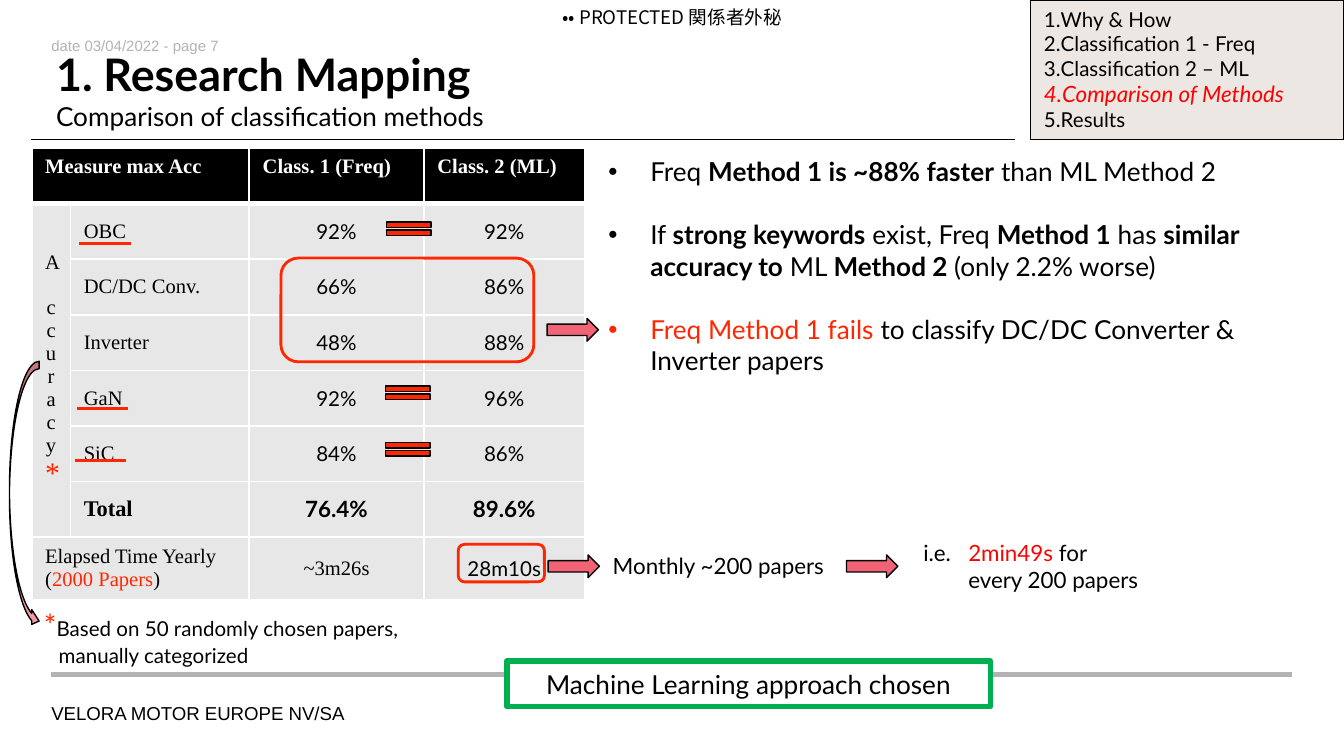
from copy import deepcopy
from dataclasses import dataclass

from lxml.etree import SubElement
from pptx import Presentation
from pptx.dml.color import RGBColor
from pptx.enum.shapes import MSO_CONNECTOR, MSO_SHAPE
from pptx.enum.text import MSO_ANCHOR, PP_ALIGN
from pptx.oxml import parse_xml
from pptx.oxml.ns import nsdecls, qn
from pptx.util import Cm, Pt

LATO, TIMES, CJK = "Lato", "Times New Roman", "Noto Sans CJK JP"
BLACK, WHITE, GREY, CELL_GREY = "000000", "FFFFFF", "B3B3B3", "E7E7E7"
ORANGE_RED, RED, PINK = "FF2600", "FF0000", "F06475"


@dataclass(frozen=True)
class Span:
    text: str
    size: float = 14
    color: str = BLACK
    bold: bool = False
    italic: bool = False
    font: str = LATO


@dataclass(frozen=True)
class Line:
    spans: list[Span]
    align: PP_ALIGN = PP_ALIGN.LEFT
    margin: float = 0
    indent: float = 0
    bullet: str = ""
    space_before: float = 0


@dataclass(frozen=True)
class Box:
    left: float
    top: float
    width: float
    height: float

    def emu(self) -> list[int]:
        return [Cm(v) for v in (self.left, self.top, self.width, self.height)]


def rgb(code: str) -> RGBColor:
    return RGBColor.from_string(code)


def write_span(paragraph, span: Span) -> None:
    """Write one span; a vertical tab in it is a line break."""
    for number, part in enumerate(span.text.split("\v")):
        if number:
            paragraph.add_line_break()
            paragraph._p[-1].append(deepcopy(run._r.rPr))
        if not part:
            continue
        run = paragraph.add_run()
        run.text = part
        font = run.font
        font.name, font.size = span.font, Pt(span.size)
        font.bold, font.italic = span.bold, span.italic
        font.color.rgb = rgb(span.color)
        if span.font == CJK:
            SubElement(run._r.rPr, qn("a:ea"), typeface=CJK)


def write_lines(frame, lines: list[Line], anchor=MSO_ANCHOR.TOP) -> None:
    frame.vertical_anchor = anchor
    for number, line in enumerate(lines):
        paragraph = frame.add_paragraph() if number else frame.paragraphs[0]
        paragraph.alignment = line.align
        if line.space_before:
            paragraph.space_before = Pt(line.space_before)
        properties = paragraph._p.get_or_add_pPr()
        if line.margin:
            properties.set("marL", str(Cm(line.margin)))
            properties.set("indent", str(Cm(line.indent)))
        if line.bullet == "auto":
            SubElement(properties, qn("a:buFontTx"))
            SubElement(properties, qn("a:buAutoNum"), type="arabicPeriod")
        elif line.bullet:
            SubElement(properties, qn("a:buFont"), typeface="Arial")
            SubElement(properties, qn("a:buChar"), char=line.bullet)
        for span in line.spans:
            write_span(paragraph, span)


def add_text(slide, box: Box, lines: list[Line], anchor=MSO_ANCHOR.TOP, inset: bool = True) -> None:
    frame = slide.shapes.add_textbox(*box.emu()).text_frame
    frame.word_wrap = True
    if not inset:
        frame.margin_left = frame.margin_right = frame.margin_top = frame.margin_bottom = 0
    write_lines(frame, lines, anchor)


def add_figure(slide, kind: MSO_SHAPE, box: Box, fill: str = "", line: str = "", weight: float = 0.75):
    figure = slide.shapes.add_shape(kind, *box.emu())
    figure.shadow.inherit = False
    if fill:
        figure.fill.solid()
        figure.fill.fore_color.rgb = rgb(fill)
    else:
        figure.fill.background()
    if line:
        figure.line.color.rgb = rgb(line)
        figure.line.width = Pt(weight)
    else:
        figure.line.fill.background()
    return figure


def add_rule(slide, left: float, right: float, y: float, color: str, weight: float) -> None:
    rule = slide.shapes.add_connector(MSO_CONNECTOR.STRAIGHT, Cm(left), Cm(y), Cm(right), Cm(y))
    rule.line.color.rgb = rgb(color)
    rule.line.width = Pt(weight)
    SubElement(rule._element.spPr, qn("a:effectLst"))


def style_cell(cell, row: int) -> None:
    cell.fill.solid()
    cell.fill.fore_color.rgb = rgb(CELL_GREY if row else BLACK)
    weights = {"lnL": 1, "lnR": 1, "lnT": 3 if row == 1 else 1, "lnB": 1 if row else 3}
    for position, (edge, weight) in enumerate(weights.items()):
        cell._tc.get_or_add_tcPr().insert(position, parse_xml(
            f'<a:{edge} {nsdecls("a")} w="{Pt(weight)}"><a:solidFill>'
            f'<a:srgbClr val="{WHITE}"/></a:solidFill></a:{edge}>'))


def add_accuracy_table(slide) -> None:
    widths, row_height = [0.73, 3.38, 3.3, 3.04], 1.05
    results = [("OBC", "92%", "92%"), ("DC/DC Conv.", "66%", "86%"), ("Inverter", "48%", "88%"),
               ("GaN", "92%", "96%"), ("SiC", "84%", "86%"), ("Total", "76.4%", "89.6%")]
    box = Box(0.6, 2.8, sum(widths), 8 * row_height)
    table = slide.shapes.add_table(8, 4, *box.emu()).table
    for column, width in zip(table.columns, widths):
        column.width = Cm(width)
    for row_number, row in enumerate(table.rows):
        row.height = Cm(row_height)
        for cell in row.cells:
            style_cell(cell, row_number)
    for first, last in (((0, 0), (0, 1)), ((1, 0), (6, 0)), ((7, 0), (7, 1))):
        table.cell(*first).merge(table.cell(*last))

    def fill_cell(row: int, column: int, *spans: Span, align=PP_ALIGN.CENTER) -> None:
        anchor = MSO_ANCHOR.MIDDLE if row else MSO_ANCHOR.TOP
        cell = table.cell(row, column)
        write_lines(cell.text_frame, [Line(list(spans), align)])
        cell.vertical_anchor = anchor

    for column, heading in ((0, "Measure max Acc"), (2, "Class. 1 (Freq)"), (3, "Class. 2 (ML)")):
        fill_cell(0, column, Span(heading, 11, WHITE, True, font=TIMES), align=PP_ALIGN.LEFT)
    fill_cell(1, 0, Span("\v".join("Accuracy") + "\v", 11, font=TIMES),
              Span("*", 16, ORANGE_RED, font=TIMES))
    for row, (topic, freq, ml) in enumerate(results, start=1):
        total = topic == "Total"
        size = 12 if total else 11
        fill_cell(row, 1, Span(topic, size, bold=total, font=TIMES), align=PP_ALIGN.LEFT)
        fill_cell(row, 2, Span(freq, size, bold=total))
        fill_cell(row, 3, Span(ml, size, bold=total))
    fill_cell(7, 0, Span("Elapsed Time Yearly (", 11, font=TIMES),
              Span("2000 Papers", 11, ORANGE_RED, font=TIMES), Span(")", 11, font=TIMES),
              align=PP_ALIGN.LEFT)
    fill_cell(7, 2, Span("~3m26s", 11, font=TIMES))
    fill_cell(7, 3, Span("28m10s", 11))


def add_frame_parts(slide) -> None:
    """Draw the page furniture, the title and the agenda."""
    add_rule(slide, 0.97, 24.41, 12.75, GREY, 3)
    add_text(slide, Box(0.97, 0.69, 15.88, 0.33),
             [Line([Span("date 03/04/2022 - page 7", 8, GREY, font="Arial")])], inset=False)
    add_text(slide, Box(0.97, 13.26, 19.94, 0.43),
             [Line([Span("VELORA MOTOR EUROPE NV/SA", 10, font="Arial")])], inset=False)
    add_text(slide, Box(10.24, 0, 4.93, 0.66),
             [Line([Span("•• PROTECTED 関係者外秘", 10, font=CJK)], PP_ALIGN.CENTER)],
             MSO_ANCHOR.MIDDLE, inset=False)
    agenda = add_figure(slide, MSO_SHAPE.RECTANGLE, Box(19.48, 0, 5.92, 2.64), "ECE7E3", BLACK)
    agenda.text_frame.word_wrap = False
    topics = [Span("Why & How", 11), Span("Classification 1 - Freq", 11),
              Span("Classification 2 – ML", 11),
              Span("Comparison of Methods", 12, RED, italic=True), Span("Results", 11)]
    write_lines(agenda.text_frame, [Line([topic], margin=0.25, indent=-0.5, bullet="auto")
                                    for topic in topics])
    add_rule(slide, 0.58, 19.18, 2.64, BLACK, 0.75)
    add_text(slide, Box(0.81, 0.89, 18.67, 1.6),
             [Line([Span("1. Research Mapping\v", 24, bold=True),
                    Span("Comparison of classification methods")])], MSO_ANCHOR.MIDDLE)


def add_findings(slide) -> None:
    findings = [
        [Span("Freq "), Span("Method 1 is ~88% faster", bold=True), Span(" than ML Method 2")],
        [Span("If "), Span("strong keywords", bold=True), Span(" exist, Freq "),
         Span("Method 1", bold=True), Span(" has "), Span("similar accuracy to", bold=True),
         Span(" ML "), Span("Method 2 ", bold=True), Span("(only 2.2% worse)")],
        [Span("Freq Method 1 fails", color=ORANGE_RED),
         Span(" to classify DC/DC Converter & Inverter papers")],
    ]
    panel = add_figure(slide, MSO_SHAPE.RECTANGLE, Box(11.25, 2.82, 13.92, 4.45), WHITE)
    write_lines(panel.text_frame, [Line(spans, margin=0.79, indent=-0.79, bullet="•",
                                        space_before=17 if number else 0)
                                   for number, spans in enumerate(findings)])


def add_annotations(slide) -> None:
    add_text(slide, Box(0.58, 11.35, 7.85, 1.42),
             [Line([Span("*", 16, ORANGE_RED),
                    Span("Based on 50 randomly chosen papers,\vmanually categorized", 11)],
                   margin=0.28, indent=-0.28)])
    add_figure(slide, MSO_SHAPE.CURVED_RIGHT_ARROW, Box(0.18, 6.83, 0.56, 5.05), "F598A3", BLACK)
    for outline in (Box(5.31, 4.88, 4.78, 1.96), Box(8.66, 10.29, 1.63, 0.71)):
        add_figure(slide, MSO_SHAPE.ROUNDED_RECTANGLE, outline, line=ORANGE_RED, weight=1.5)
    for left, y in ((1.5, 4.6), (1.45, 7.72), (1.42, 8.71)):
        add_rule(slide, left, left + 0.97, y, ORANGE_RED, 1.5)
    for left, top in ((7.16, 4.11), (7.14, 7.21), (7.14, 8.28)):
        add_figure(slide, MSO_SHAPE.MATH_EQUAL, Box(left, top, 1.14, 0.43), ORANGE_RED, BLACK)
    for left, top in ((10.34, 6.02), (10.36, 10.49), (16, 10.49)):
        add_figure(slide, MSO_SHAPE.RIGHT_ARROW, Box(left, top, 0.97, 0.43), PINK, BLACK)
    add_text(slide, Box(11.33, 10.31, 5.08, 0.76), [Line([Span("Monthly ~200 papers", 12)])])
    add_text(slide, Box(17.2, 10.06, 6.73, 1.27),
             [Line([Span("i.e.\t", 12), Span("2min49s ", 12, RED),
                    Span("for\vevery 200 papers", 12)], margin=0.85, indent=-0.85)])
    conclusion = add_figure(slide, MSO_SHAPE.RECTANGLE, Box(9.58, 12.5, 9.14, 0.86),
                            WHITE, "00B050", 3)
    write_lines(conclusion.text_frame,
                [Line([Span("Machine Learning approach chosen")], PP_ALIGN.CENTER)],
                MSO_ANCHOR.MIDDLE)


def main() -> None:
    deck = Presentation()
    deck.slide_width, deck.slide_height = Cm(25.4), Cm(14.29)
    slide = deck.slides.add_slide(deck.slide_layouts[6])
    add_frame_parts(slide)
    add_findings(slide)
    add_accuracy_table(slide)
    add_annotations(slide)
    deck.save("out.pptx")


if __name__ == "__main__":
    main()
